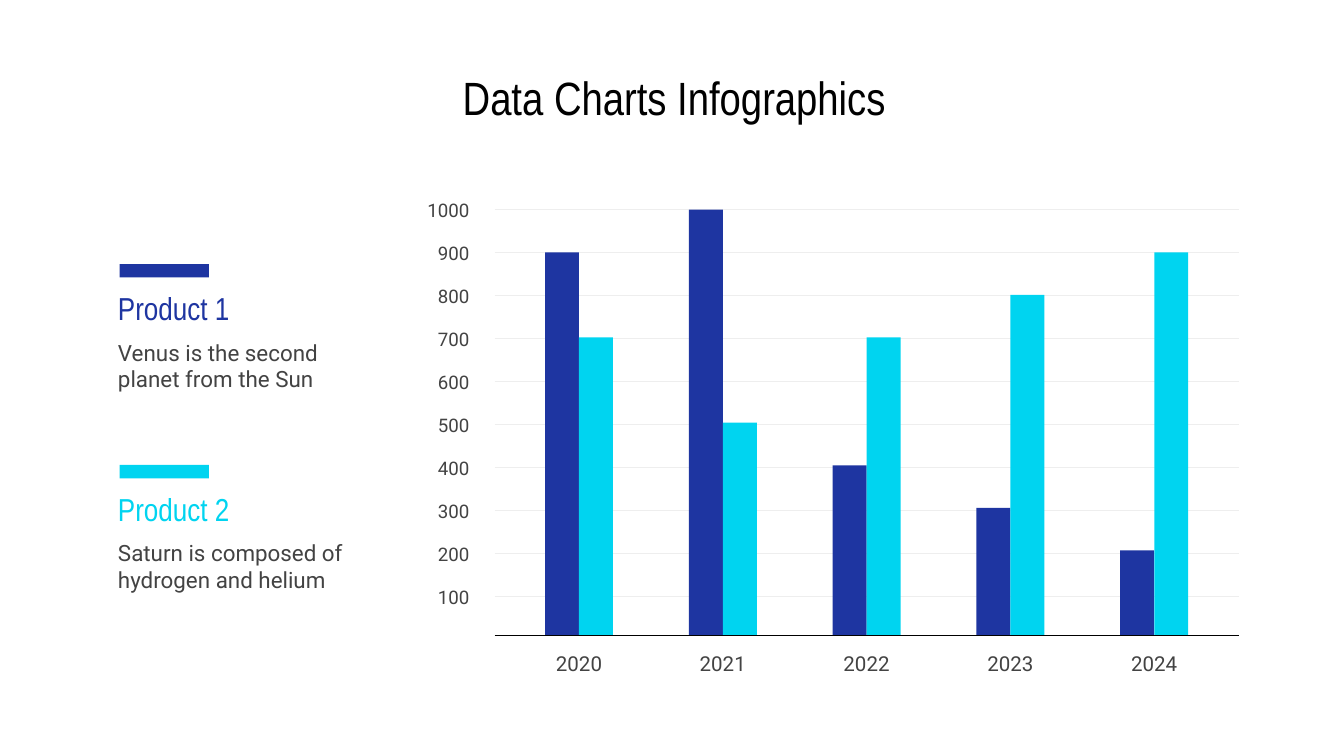
from lxml import etree
from pptx import Presentation
from pptx.dml.color import RGBColor
from pptx.enum.shapes import MSO_CONNECTOR, MSO_SHAPE
from pptx.enum.text import MSO_ANCHOR, PP_ALIGN
from pptx.oxml.ns import qn
from pptx.util import Inches, Pt

LINE = MSO_CONNECTOR.STRAIGHT
RECT = MSO_SHAPE.RECTANGLE
MID = MSO_ANCHOR.MIDDLE
LEFT, MIDST, RIGHT = PP_ALIGN.LEFT, PP_ALIGN.CENTER, PP_ALIGN.RIGHT

CELL = Inches(0.1)
COLS, ROWS = 100, 56.25
HEAD, BODY = "Arial Narrow", "Roboto"
TINT = {
    "navy": "1E35A1",
    "cyan": "00D4F0",
    "text": "434343",
    "grid": "EEEEEE",
    "black": "000000",
    "white": "FFFFFF",
}
TOP, STEP = 1000, 100
YEARS = ["2020", "2021", "2022", "2023", "2024"]
ITEMS = [
    ("Product 1", "Venus is the second planet from the Sun", "navy",
     [900, 1000, 400, 300, 200]),
    ("Product 2", "Saturn is composed of hydrogen and helium", "cyan",
     [700, 500, 700, 800, 900]),
]


def rgb(name):
    return RGBColor.from_string(TINT[name])


def span(box):
    return [round(n * CELL) for n in box]


def write(shape, text, face, size, tint, align=LEFT):
    frame = shape.text_frame
    frame.word_wrap = True
    frame.vertical_anchor = MID
    frame.margin_left = frame.margin_right = CELL
    frame.margin_top = frame.margin_bottom = CELL
    para = frame.paragraphs[0]
    para.alignment = align
    run = para.add_run()
    run.text = text
    run.font.name = face
    run.font.size = Pt(size)
    run.font.color.rgb = rgb(tint)


def add_text(group, box, *look):
    write(group.shapes.add_textbox(*span(box)), *look)


def add_rect(group, box, tint):
    rect = group.shapes.add_shape(RECT, *span(box))
    rect.shadow.inherit = False
    rect.fill.solid()
    rect.fill.fore_color.rgb = rgb(tint)
    rect.line.fill.background()


def add_line(group, x, y, w, tint):
    line = group.shapes.add_connector(LINE, *span((x, y, x + w, y)))
    line.line.color.rgb = rgb(tint)
    line.line.width = Pt(0.75)
    etree.SubElement(line._element.spPr, qn("a:effectLst"))


def add_title(slide, box):
    title = slide.shapes.title
    title.left, title.top, title.width, title.height = span(box)
    write(title, "Data Charts Infographics", HEAD, 25, "black", MIDST)


def add_key(slide, box, item):
    x, y, w, h = box
    name, note, tint, _ = item
    group = slide.shapes.add_group_shape()
    add_text(group, (x, y + 1.8, w, 2.9), name, HEAD, 17, tint)
    add_text(group, (x, y + 4.55, w, h - 4.55), note, BODY, 12, "text")
    add_rect(group, (x + 1.1, y, 6.65, 1), tint)


def add_scale(slide, box):
    x, y, w, h = box
    group = slide.shapes.add_group_shape()
    marks = range(TOP, 0, -STEP)
    gap = h / (len(marks) - 1)
    for row, mark in enumerate(marks):
        level = y + row * gap
        add_line(group, x, level, w, "grid")
        add_text(group, (x - 7, level - 1.3, 6.1, 2.7),
                 str(mark), BODY, 10, "text", RIGHT)


def add_bars(slide, box):
    x, y, w, h = box
    pitch, wide = 10.7, 2.53
    base = y + h
    for col, year in enumerate(YEARS):
        left = x + 3.75 + col * pitch
        group = slide.shapes.add_group_shape()
        for place, (_, _, tint, vals) in enumerate(ITEMS):
            high = h * vals[col] / TOP
            add_rect(group, (left + place * wide, base - high, wide, high),
                     tint)
        add_text(group, (left + wide - 3.05, base + 0.9, 6.1, 2.3),
                 year, BODY, 11, "text", MIDST)
    add_line(slide, x, base, w, "black")


def main():
    deck = Presentation()
    deck.slide_width, deck.slide_height = span((COLS, ROWS))
    slide = deck.slides.add_slide(deck.slide_layouts[5])
    slide.background.fill.solid()
    slide.background.fill.fore_color.rgb = rgb("white")
    add_scale(slide, (36.8, 15.6, 55.4, 28.8))
    add_title(slide, (5.3, 4.55, 89.7, 5.3))
    for row, item in enumerate(ITEMS):
        add_key(slide, (7.8, 19.65 + 14.95 * row, 19.4, 10.55), item)
    add_bars(slide, (36.8, 15.6, 55.4, 31.7))
    deck.save("out.pptx")


if __name__ == "__main__":
    main()
